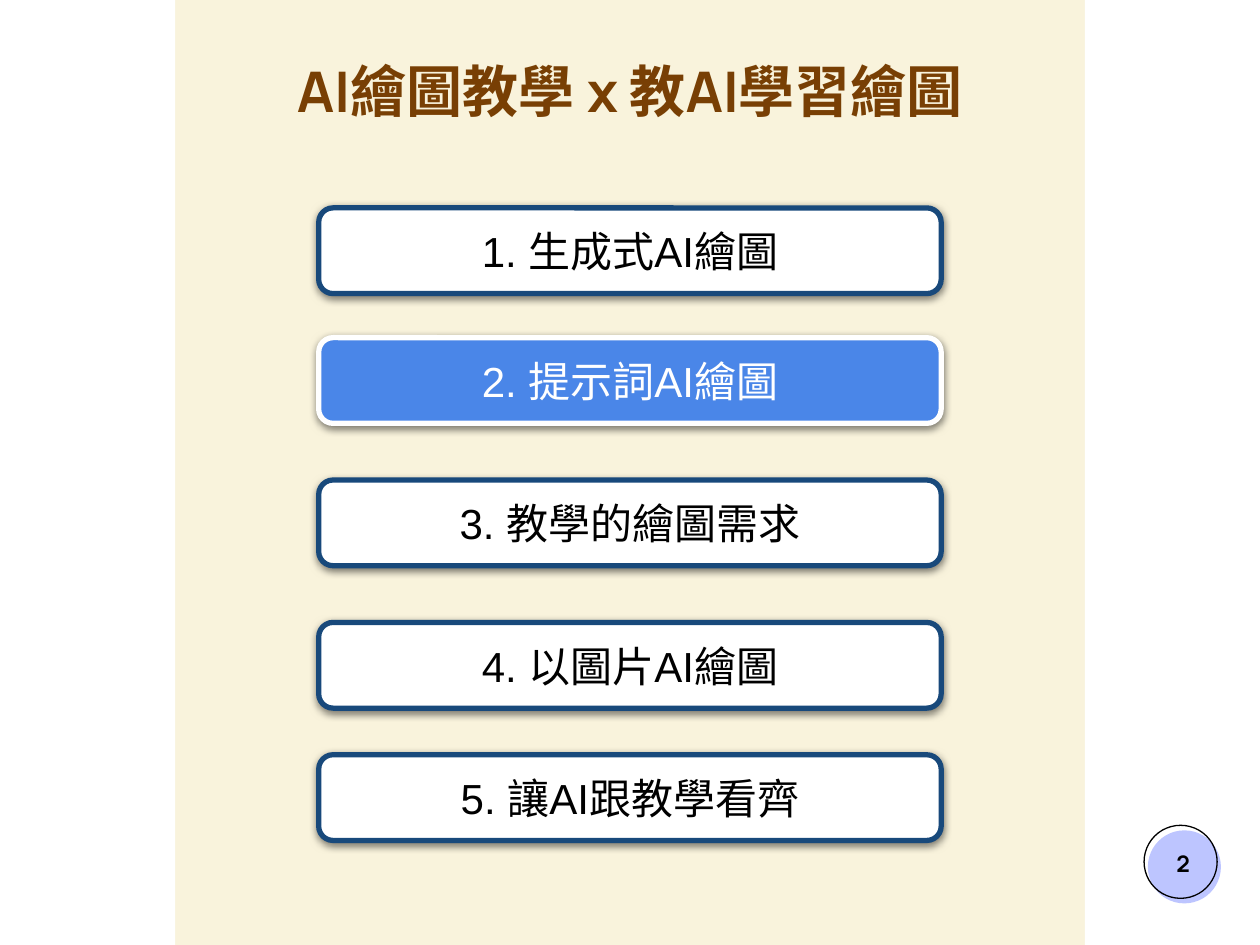
from lxml import etree
from pptx import Presentation
from pptx.dml.color import RGBColor
from pptx.enum.shapes import MSO_SHAPE as Shape
from pptx.enum.text import MSO_ANCHOR as Anchor, MSO_AUTO_SIZE as AutoSize, PP_ALIGN as Align
from pptx.oxml.ns import qn
from pptx.util import Inches, Pt

CREAM = RGBColor(0xF9, 0xF3, 0xDC)
WHITE = RGBColor(0xFF, 0xFF, 0xFF)
BLACK = RGBColor(0x00, 0x00, 0x00)
BROWN = RGBColor(0x78, 0x3F, 0x04)
NAVY = RGBColor(0x18, 0x49, 0x7B)
BLUE = RGBColor(0x4A, 0x86, 0xE8)
LILAC = RGBColor(0xBD, 0xC5, 0xFF)

TOPICS = [  # top edge, label
    (1.65, "1. 生成式AI繪圖"),
    (2.68, "2. 提示詞AI繪圖"),
    (3.81, "3. 教學的繪圖需求"),
    (4.94, "4. 以圖片AI繪圖"),
    (5.99, "5. 讓AI跟教學看齊"),
]
CURRENT_TOPIC = 1


def add_shape(slide, kind, box, fill=None, line=None, width=0.75):
    shape = slide.shapes.add_shape(kind, *map(Inches, box))
    shape.shadow.inherit = False
    if fill is None:
        shape.fill.background()
    else:
        shape.fill.solid()
        shape.fill.fore_color.rgb = fill
    if line is None:
        shape.line.fill.background()
    else:
        shape.line.color.rgb = line
        shape.line.width = Pt(width)
    return shape


def add_soft_shadow(shape):
    effects = shape._element.spPr.find(qn("a:effectLst"))
    shadow = etree.SubElement(
        effects, qn("a:outerShdw"), blurRad=str(Pt(4.5)), dist=str(Pt(1.5)),
        dir="5400000", algn="bl", rotWithShape="0")
    color = etree.SubElement(shadow, qn("a:srgbClr"), val=str(BLACK))
    etree.SubElement(color, qn("a:alpha"), val="50000")


def set_text(shape, text, size, font, color, bold=False, anchor=Anchor.MIDDLE, top=0.1):
    frame = shape.text_frame
    frame.word_wrap = True
    frame.auto_size = AutoSize.NONE
    frame.vertical_anchor = anchor
    frame.margin_left = frame.margin_right = frame.margin_bottom = Inches(0.1)
    frame.margin_top = Inches(top)
    frame.text = text
    paragraph = frame.paragraphs[0]
    paragraph.alignment = Align.CENTER
    paragraph.font.size = Pt(size)
    paragraph.font.name = font
    paragraph.font.bold = bold
    paragraph.font.color.rgb = color


def add_title(slide, text):
    title = slide.shapes.title
    title.left, title.top = Inches(1.39), Inches(0.45)
    title.width, title.height = Inches(7.22), Inches(0.68)
    set_text(title, text, 32, "Manrope", BROWN, bold=True, anchor=Anchor.TOP, top=0)


def add_topic(slide, top, label, current):
    fill, line, color = (BLUE, WHITE, WHITE) if current else (WHITE, NAVY, BLACK)
    box = add_shape(slide, Shape.ROUNDED_RECTANGLE, (2.53, top, 4.94, 0.68), fill, line, 3)
    add_soft_shadow(box)
    set_text(box, label, 24, "Arial", color)


def add_page_badge(slide, number):
    add_shape(slide, Shape.OVAL, (8.99, 6.45, 0.8, 0.8), WHITE)
    add_shape(slide, Shape.OVAL, (9.11, 6.59, 0.58, 0.58), LILAC)
    add_shape(slide, Shape.OVAL, (9.08, 6.55, 0.58, 0.58), line=BLACK)
    label = slide.shapes.add_textbox(*map(Inches, (9.09, 6.57, 0.6, 0.57)))
    set_text(label, number, 13, "Manrope", BLACK, bold=True)


def main():
    presentation = Presentation()
    presentation.slide_width, presentation.slide_height = Inches(10), Inches(7.5)
    slide = presentation.slides.add_slide(presentation.slide_layouts[5])

    # Cream page with white side panels
    slide.background.fill.solid()
    slide.background.fill.fore_color.rgb = CREAM
    for left in (0, 8.61):
        add_shape(slide, Shape.RECTANGLE, (left, 0, 1.39, 7.5), WHITE)
    add_page_badge(slide, "2")

    # Title and agenda
    add_title(slide, "AI繪圖教學 x 教AI學習繪圖")
    for index, (top, label) in enumerate(TOPICS):
        add_topic(slide, top, label, index == CURRENT_TOPIC)

    presentation.save("out.pptx")


if __name__ == "__main__":
    main()
